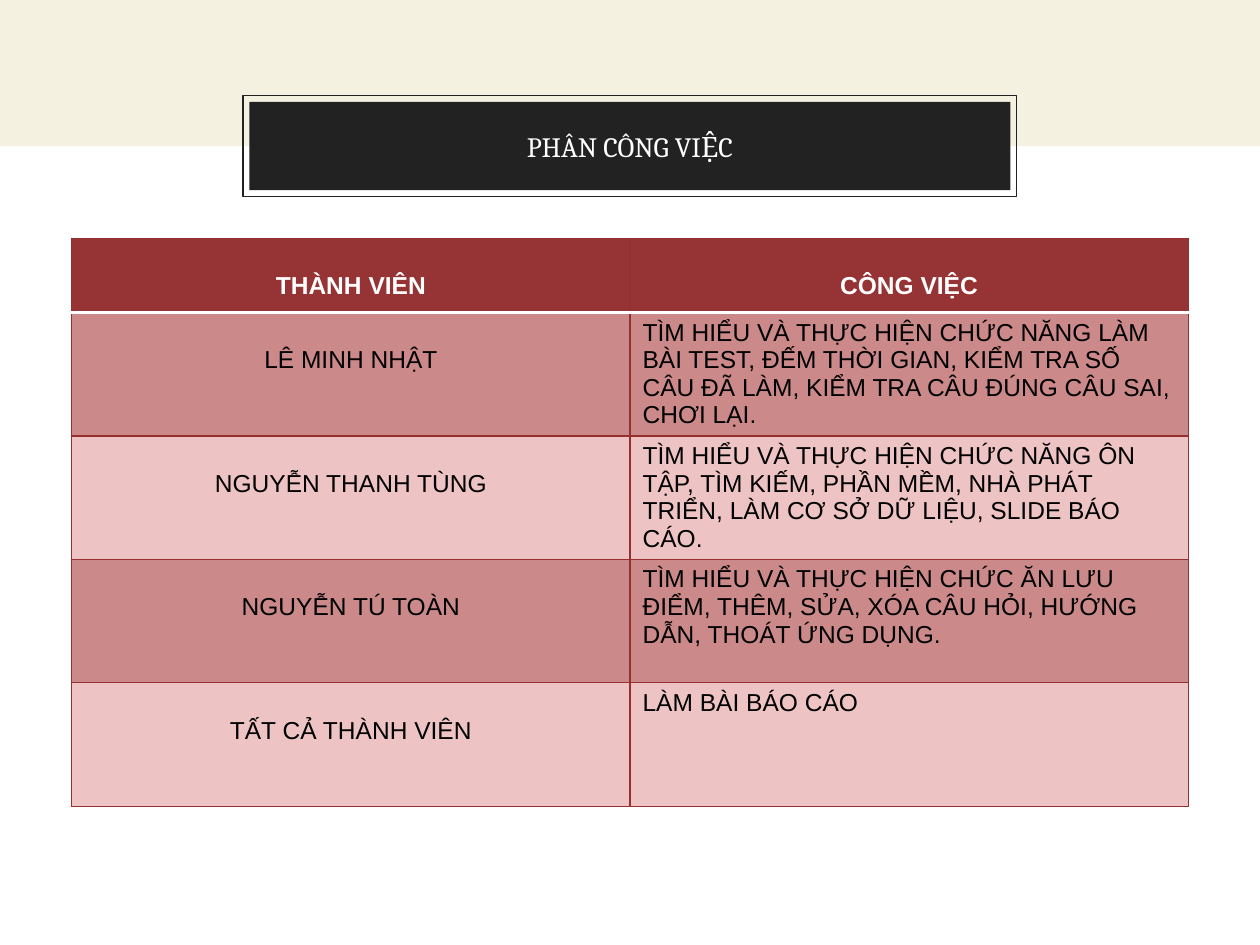
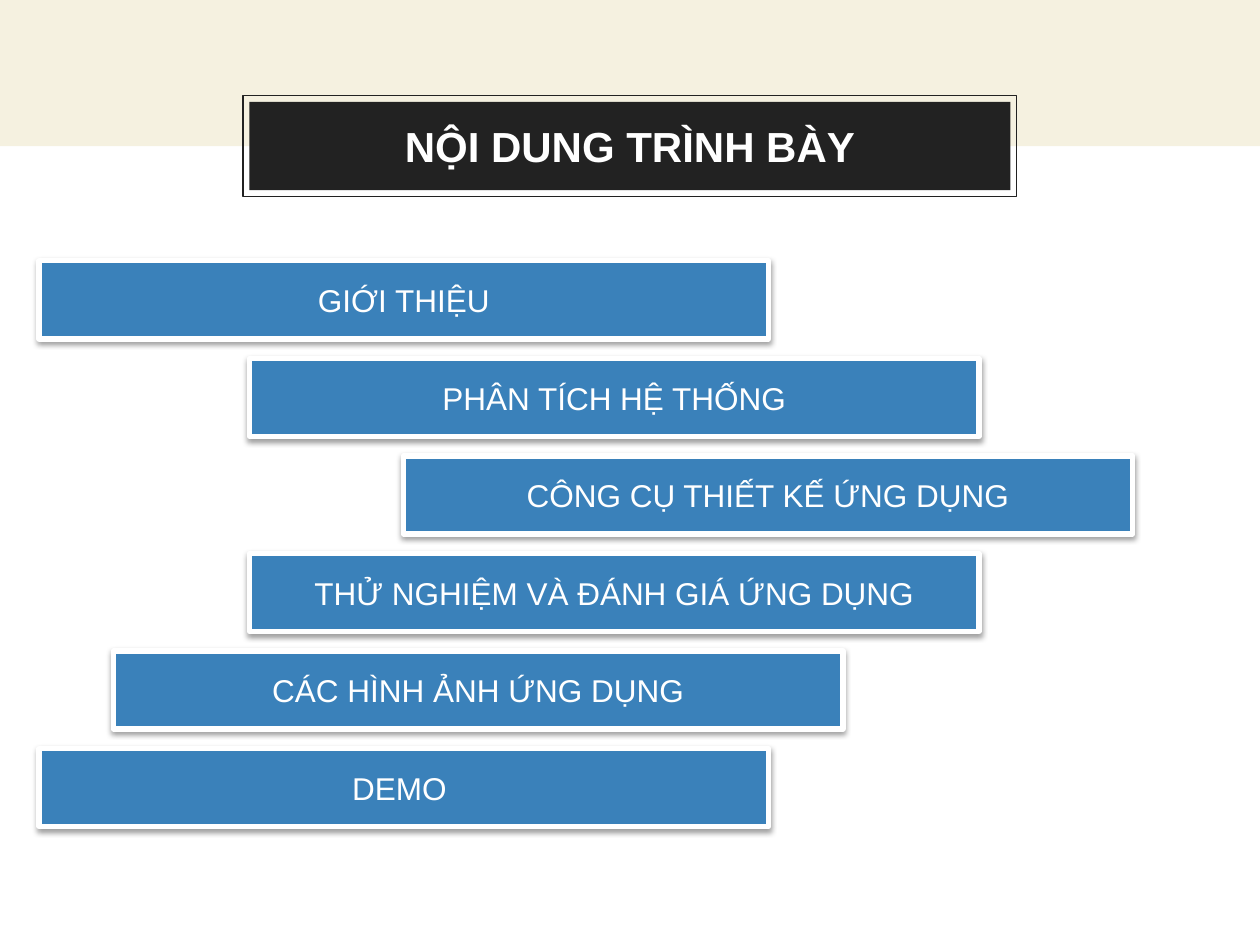
from dataclasses import dataclass
from typing import Any

import lxml.etree
import pptx
import pptx.dml.color
import pptx.enum.shapes
import pptx.enum.text
import pptx.oxml.ns
import pptx.util

Inches = pptx.util.Inches
Pt = pptx.util.Pt
qn = pptx.oxml.ns.qn
ALIGN = pptx.enum.text.PP_ALIGN
MIDDLE = pptx.enum.text.MSO_ANCHOR.MIDDLE


@dataclass(frozen=True)
class Theme:
    cream: str = "F5F1E0"
    charcoal: str = "222222"
    white: str = "FFFFFF"
    black: str = "000000"
    blue: str = "3A81BA"
    header_red: str = "963334"
    border_red: str = "952F30"
    dark_row: str = "CB898A"
    light_row: str = "EEC3C4"
    body_font: str = "Arial"
    table_size: int = 14
    agenda_size: int = 18


THEME = Theme()


@dataclass(frozen=True)
class TextStyle:
    size: int
    color: str = THEME.white
    font: str = THEME.body_font
    bold: bool = False
    align: Any = ALIGN.CENTER


@dataclass(frozen=True)
class Box:
    left: float
    top: float
    width: float
    height: float

    def lengths(self) -> list[Any]:
        return [Inches(v) for v in (self.left, self.top, self.width, self.height)]


@dataclass(frozen=True)
class Duty:
    member: str
    tasks: str


@dataclass(frozen=True)
class AgendaItem:
    left: float
    label: str


DUTIES = [
    Duty("LÊ MINH NHẬT",
         "TÌM HIỂU VÀ THỰC HIỆN CHỨC NĂNG LÀM BÀI TEST, ĐẾM THỜI GIAN, KIỂM TRA SỐ "
         "CÂU ĐÃ LÀM, KIỂM TRA CÂU ĐÚNG CÂU SAI,\nCHƠI LẠI."),
    Duty("NGUYỄN THANH TÙNG",
         "TÌM HIỂU VÀ THỰC HIỆN CHỨC NĂNG ÔN TẬP, TÌM KIẾM, PHẦN MỀM, NHÀ PHÁT "
         "TRIỂN, LÀM CƠ SỞ DỮ LIỆU, SLIDE BÁO CÁO."),
    Duty("NGUYỄN TÚ TOÀN",
         "TÌM HIỂU VÀ THỰC HIỆN CHỨC ĂN LƯU ĐIỂM, THÊM, SỬA, XÓA CÂU HỎI, HƯỚNG "
         "DẪN, THOÁT ỨNG DỤNG."),
    Duty("TẤT CẢ THÀNH VIÊN", "LÀM BÀI BÁO CÁO"),
]

AGENDA = [
    AgendaItem(0.31, "GIỚI THIỆU"),
    AgendaItem(1.98, "PHÂN TÍCH HỆ THỐNG"),
    AgendaItem(3.2, "CÔNG CỤ THIẾT KẾ ỨNG DỤNG"),
    AgendaItem(1.98, "THỬ NGHIỆM VÀ ĐÁNH GIÁ ỨNG DỤNG"),
    AgendaItem(0.9, "CÁC HÌNH ẢNH ỨNG DỤNG"),
    AgendaItem(0.31, "DEMO "),
]


def rgb(color: str) -> Any:
    return pptx.dml.color.RGBColor.from_string(color)


def write(frame: Any, text: str, style: TextStyle) -> None:
    frame.word_wrap = True
    frame.text = text
    font_values = {"size": Pt(style.size), "name": style.font, "bold": style.bold}
    for paragraph in frame.paragraphs:
        paragraph.alignment = style.align
        for run in paragraph.runs:
            for name, value in font_values.items():
                setattr(run.font, name, value)
            run.font.color.rgb = rgb(style.color)


def add_rectangle(slide: Any, box: Box, fill: str | None = None,
                  line: str | None = None, line_width: float = 0.75) -> Any:
    rectangle = slide.shapes.add_shape(
        pptx.enum.shapes.MSO_SHAPE.RECTANGLE, *box.lengths())
    if fill:
        rectangle.fill.solid()
        rectangle.fill.fore_color.rgb = rgb(fill)
    else:
        rectangle.fill.background()
    if line:
        rectangle.line.color.rgb = rgb(line)
        rectangle.line.width = Pt(line_width)
    else:
        rectangle.line.fill.background()
    rectangle.shadow.inherit = False
    return rectangle


def add_drop_shadow(shape: Any) -> None:
    effects = shape.element.spPr.find(qn("a:effectLst"))
    shadow = lxml.etree.SubElement(
        effects, qn("a:outerShdw"), blurRad=str(Pt(3.1)), dist=str(Pt(1.6)),
        dir="5400000", rotWithShape="0")
    color = lxml.etree.SubElement(shadow, qn("a:srgbClr"), val=THEME.black)
    lxml.etree.SubElement(color, qn("a:alpha"), val="38000")


def add_titled_slide(deck: Any, title: str, style: TextStyle) -> Any:
    slide = deck.slides.add_slide(deck.slide_layouts[6])
    add_rectangle(slide, Box(0, 0, 10, 1.16), fill=THEME.cream)
    add_rectangle(slide, Box(1.93, 0.76, 6.14, 0.8), line=THEME.charcoal)
    plate = add_rectangle(slide, Box(1.98, 0.81, 6.04, 0.7), fill=THEME.charcoal)
    frame = plate.text_frame
    for side in ("left", "top", "right", "bottom"):
        setattr(frame, f"margin_{side}", Inches(0.1))
    frame.vertical_anchor = MIDDLE
    write(frame, title, style)
    return slide


def set_borders(cell: Any, top: tuple[str, float], bottom: tuple[str, float]) -> None:
    side = (THEME.border_red, 0.75)
    properties = cell._tc.get_or_add_tcPr()
    edges = {"a:lnL": side, "a:lnR": side, "a:lnT": top, "a:lnB": bottom}
    for position, (tag, (color, width)) in enumerate(edges.items()):
        edge = lxml.etree.Element(qn(tag), w=str(Pt(width)))
        fill = lxml.etree.SubElement(edge, qn("a:solidFill"))
        lxml.etree.SubElement(fill, qn("a:srgbClr"), val=color)
        properties.insert(position, edge)


def add_duty_table(slide: Any) -> None:
    header = TextStyle(THEME.table_size, bold=True)
    member = TextStyle(THEME.table_size, THEME.black)
    tasks = TextStyle(THEME.table_size, THEME.black, align=ALIGN.LEFT)
    thin, rule = (THEME.border_red, 0.75), (THEME.white, 2)
    rows = [("THÀNH VIÊN", "CÔNG VIỆC")] + [(d.member, d.tasks) for d in DUTIES]

    table = slide.shapes.add_table(
        len(rows), 2, *Box(0.57, 1.89, 8.86, 4.51).lengths()).table
    for row_index, texts in enumerate(rows):
        is_header = row_index == 0
        table.rows[row_index].height = Inches(0.59 if is_header else 0.98)
        if is_header:
            fill, styles = THEME.header_red, (header, header)
        else:
            fill = THEME.dark_row if row_index % 2 else THEME.light_row
            styles = (member, tasks)
        for column, (text, style) in enumerate(zip(texts, styles)):
            cell = table.cell(row_index, column)
            cell.fill.solid()
            cell.fill.fore_color.rgb = rgb(fill)
            # Centred entries sit one line below the top of their cell.
            cell.margin_top = Inches(0.27 if style.align == ALIGN.CENTER else 0.05)
            write(cell.text_frame, text, style)
            set_borders(cell, top=rule if row_index == 1 else thin,
                        bottom=rule if is_header else thin)


def add_agenda(slide: Any) -> None:
    first_top, last_top = 2.07, 5.94
    pitch = (last_top - first_top) / (len(AGENDA) - 1)
    for index, item in enumerate(AGENDA):
        box = Box(item.left, first_top + index * pitch, 5.79, 0.62)
        bar = add_rectangle(slide, box, THEME.blue, THEME.white, 3)
        add_drop_shadow(bar)
        bar.text_frame.vertical_anchor = MIDDLE
        write(bar.text_frame, item.label, TextStyle(THEME.agenda_size))


def main() -> None:
    deck = pptx.Presentation()
    deck.slide_width, deck.slide_height = Inches(10), Inches(7.5)
    add_duty_table(add_titled_slide(
        deck, "PHÂN CÔNG VIỆC", TextStyle(16, font="Cambria")))
    add_agenda(add_titled_slide(
        deck, "NỘI DUNG TRÌNH BÀY", TextStyle(24, bold=True)))
    deck.save("out.pptx")


if __name__ == "__main__":
    main()
